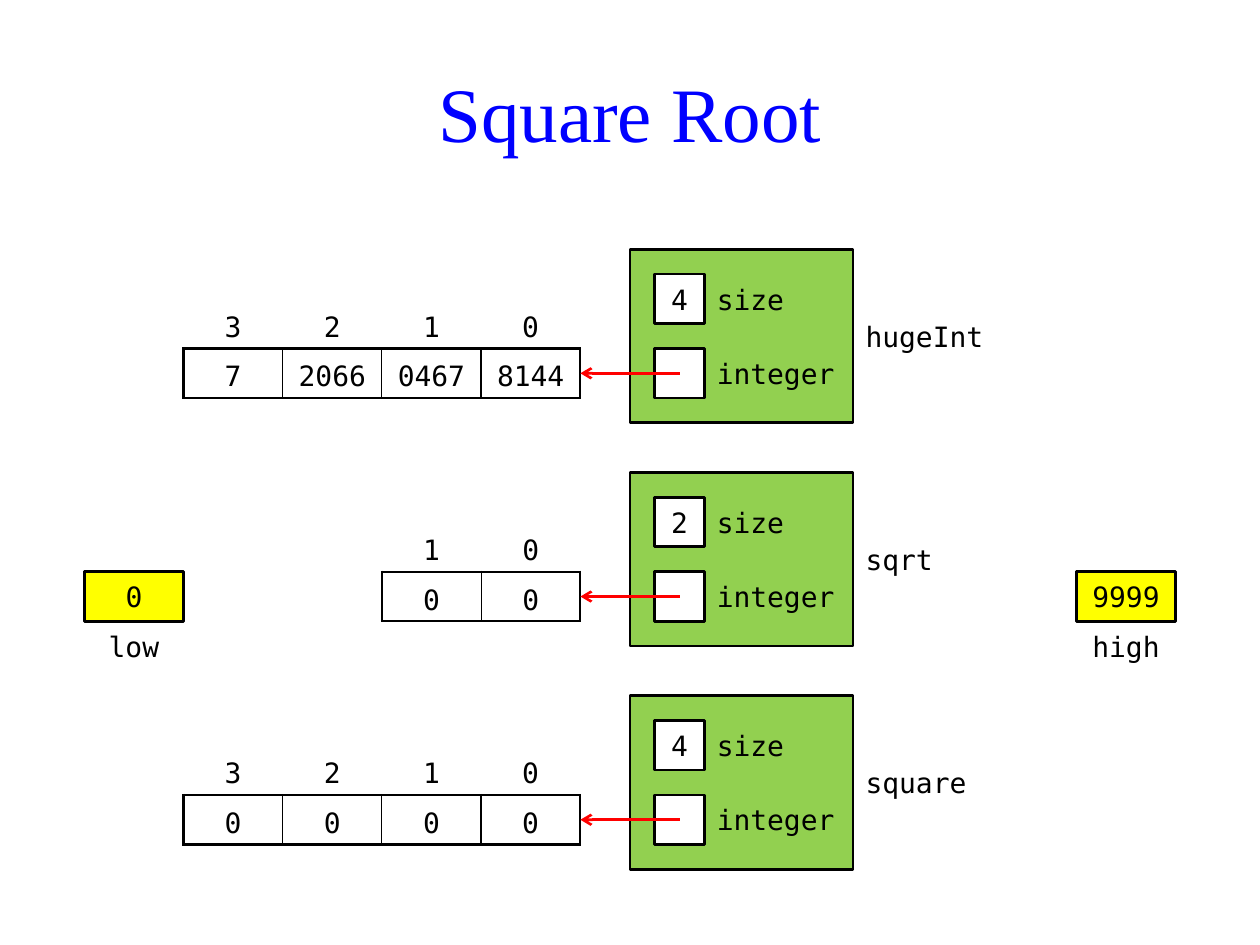
import pptx
import pptx.dml.color
import pptx.enum.shapes
import pptx.enum.text
import pptx.oxml
import pptx.oxml.ns
import pptx.util
from pptx.util import Inches

UNIT = 0.5 / 2.54  # half a centimetre, the grid of the drawing
RECORD_LEFT = 5
COLORS = {
    "title": "0000FF",
    "ink": "000000",
    "record": "92D050",
    "field": "FFFFFF",
    "bound": "FFFF00",
    "pointer": "FF0000",
}
ALIGN = pptx.enum.text.PP_ALIGN


def rgb(name):
    return pptx.dml.color.RGBColor.from_string(COLORS[name])


def add_xml(parent, tag, content="", attributes=""):
    namespace = pptx.oxml.ns.nsdecls("a")
    parent.append(pptx.oxml.parse_xml(
        f"<a:{tag} {namespace} {attributes}>{content}</a:{tag}>"))


class Diagram:
    """Draws on one slide; x and y of grid elements are in UNITs."""

    mono = "DejaVu Sans Mono"
    line_width = 1.5

    def __init__(self, slide):
        self.shapes = slide.shapes

    def place(self, x, y, width, height):
        """Turn grid units, counted from the middle record's corner, into lengths."""
        return (Inches(RECORD_LEFT + x * UNIT), Inches(3.75 + y * UNIT),
                Inches(width * UNIT), Inches(height * UNIT))

    def add_text(self, frame, text, align, size=16, font=mono, color="ink"):
        paragraph = frame.paragraphs[0]
        paragraph.alignment = align
        run = paragraph.add_run()
        run.text = text
        run.font.size = pptx.util.Pt(size)
        run.font.name = font
        run.font.color.rgb = rgb(color)
        return paragraph

    def title(self, text):
        frame = self.shapes.add_textbox(
            Inches(0.47), Inches(0.4), Inches(9.06), Inches(0.98)).text_frame
        frame.word_wrap = True
        frame.vertical_anchor = pptx.enum.text.MSO_ANCHOR.MIDDLE
        self.add_text(frame, text, ALIGN.CENTER, 44, "Times New Roman", "title")

    def label(self, text, x, y, width, height=2, align=ALIGN.LEFT):
        frame = self.shapes.add_textbox(*self.place(x, y, width, height)).text_frame
        frame.word_wrap = True
        frame.vertical_anchor = pptx.enum.text.MSO_ANCHOR.MIDDLE
        frame.margin_left = Inches(0.1)
        frame.margin_right = Inches(0.1 if align == ALIGN.CENTER else 0.08)
        frame.margin_top = frame.margin_bottom = 0
        self.add_text(frame, text, align)

    def box(self, fill, x, y, width, height, text=None):
        box = self.shapes.add_shape(
            pptx.enum.shapes.MSO_SHAPE.RECTANGLE, *self.place(x, y, width, height))
        box.shadow.inherit = False
        box.fill.solid()
        box.fill.fore_color.rgb = rgb(fill)
        box.line.color.rgb = rgb("ink")
        box.line.width = pptx.util.Pt(self.line_width)
        if text:
            box.text_frame.vertical_anchor = pptx.enum.text.MSO_ANCHOR.MIDDLE
            self.add_text(box.text_frame, text, ALIGN.CENTER)

    def pointer(self, start_x, end_x, y):
        left, top, width, _ = self.place(end_x, y, start_x - end_x, 0)
        arrow = self.shapes.add_connector(
            pptx.enum.shapes.MSO_CONNECTOR.STRAIGHT, left + width, top, left, top)
        arrow.line.color.rgb = rgb("pointer")
        arrow.line.width = pptx.util.Pt(self.line_width)
        add_xml(arrow.line._get_or_add_ln(), "tailEnd", attributes='type="arrow"')
        add_xml(arrow._element.spPr, "effectLst")

    def borders(self, cell, **widths):
        """Set the sides L, R, T and B in points; a width of 0 hides the side."""
        for side in "LRTB":
            width = widths.get(side, 0)
            paint = (f'<a:solidFill><a:srgbClr val="{COLORS["ink"]}"/></a:solidFill>'
                     if width else "<a:noFill/>")
            add_xml(cell._tc.get_or_add_tcPr(), f"ln{side}", paint,
                    f'w="{pptx.util.Pt(width)}"')

    def array(self, values, right, y):
        """A row of indices, counted down to 0, over a row of boxed values."""
        count = len(values)
        table = self.shapes.add_table(
            2, count, *self.place(right - 4 * count, y, 4 * count, 4)).table
        table.first_row = table.horz_banding = False
        for row in table.rows:
            row.height = Inches(2 * UNIT)
        thick, thin = self.line_width, self.line_width / 2
        for column, value in enumerate(values):
            table.columns[column].width = Inches(4 * UNIT)
            index, content = table.cell(0, column), table.cell(1, column)
            self.borders(index, B=thick)
            self.borders(content, T=thick, B=thick,
                         L=thin if column else thick,
                         R=thin if column < count - 1 else thick)
            for cell, text in ((index, str(count - 1 - column)), (content, value)):
                cell.fill.background()
                cell.vertical_anchor = pptx.enum.text.MSO_ANCHOR.MIDDLE
                cell.margin_left = cell.margin_right = 0
                cell.margin_top = cell.margin_bottom = 0
                self.add_text(cell.text_frame, text, ALIGN.CENTER).line_spacing = 1.25

    def record(self, name, values, y, name_width):
        """An object with its size and a pointer to its array of values."""
        self.array(values, -2, y + 2)
        self.box("record", 0, y, 9, 7)
        self.box("field", 1, y + 1, 2, 2, str(len(values)))
        self.box("field", 1, y + 4, 2, 2)
        self.label(name, 9, y + 2, name_width, 3)
        self.label("size", 3, y + 1, 4)
        self.label("integer", 3, y + 4, 6)
        self.pointer(2, -2, y + 5)

    def bound(self, name, value, x):
        self.box("bound", x, 4, 4, 2, value)
        self.label(name, x, 6, 4, align=ALIGN.CENTER)


def main():
    deck = pptx.Presentation()
    deck.slide_width, deck.slide_height = Inches(10), Inches(7.5)
    diagram = Diagram(deck.slides.add_slide(deck.slide_layouts[6]))
    diagram.title("Square Root")
    diagram.record("hugeInt", ["7", "2066", "0467", "8144"], -9, 6)
    diagram.record("sqrt", ["0"] * 2, 0, 4)
    diagram.record("square", ["0"] * 4, 9, 5)
    diagram.bound("low", "0", -22)
    diagram.bound("high", "9999", 18)
    deck.save("out.pptx")


if __name__ == "__main__":
    main()
